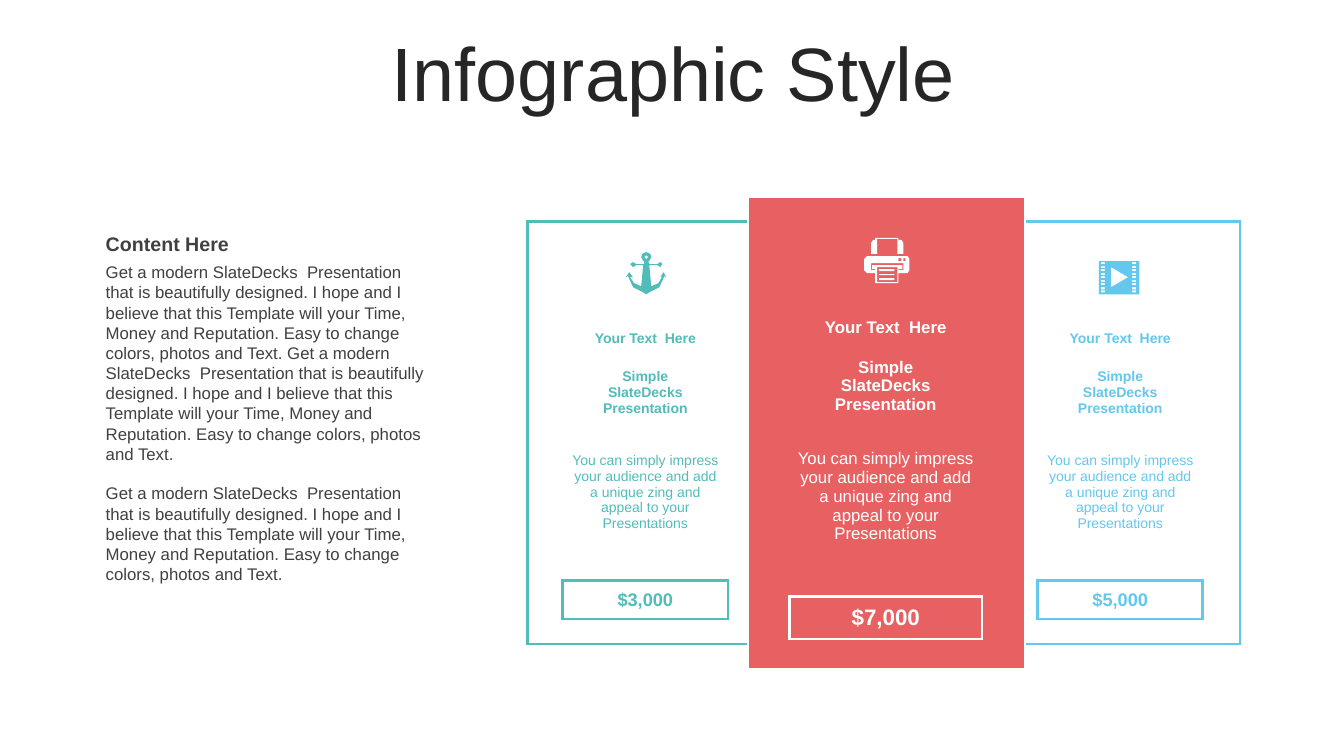
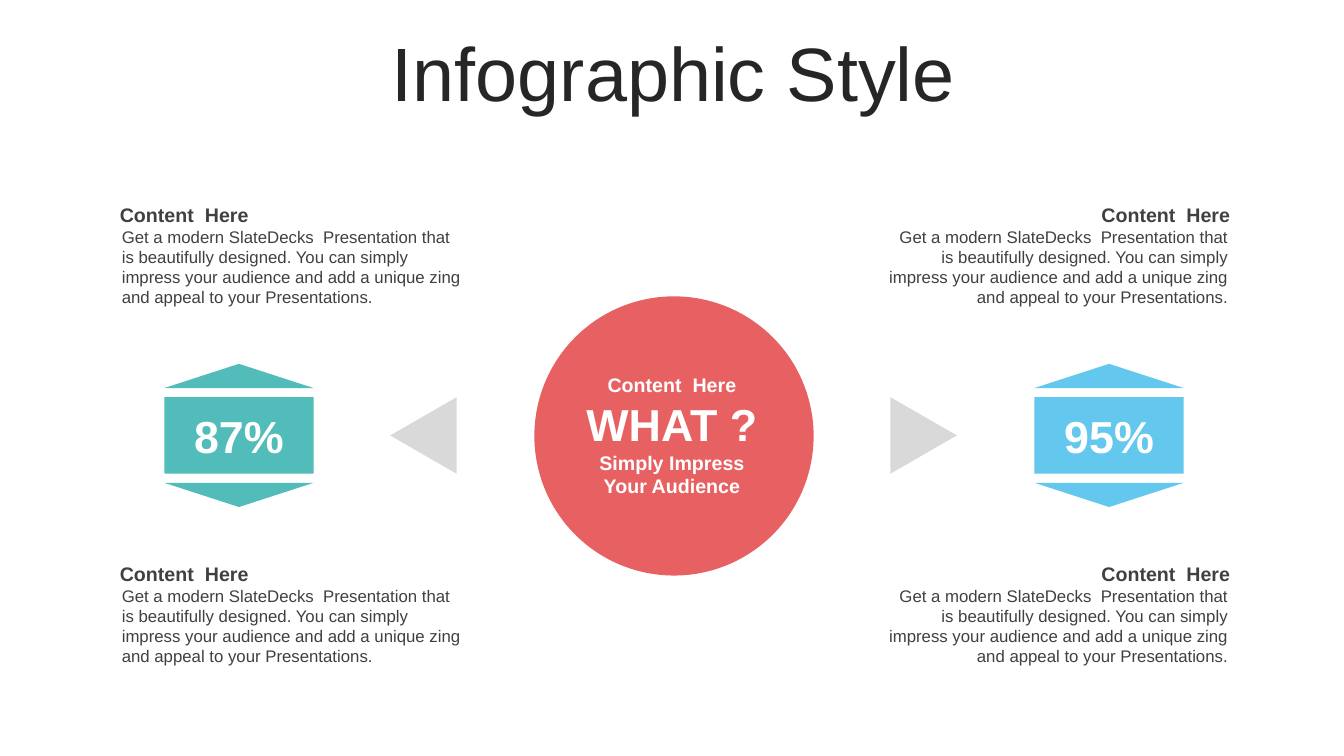
from lxml.etree import SubElement
from pptx import Presentation
from pptx.dml.color import RGBColor
from pptx.enum.shapes import MSO_SHAPE
from pptx.enum.text import MSO_ANCHOR, MSO_AUTO_SIZE, PP_ALIGN
from pptx.oxml.ns import qn
from pptx.util import Pt

PX = 9144  # 100 px to the inch
FONT = "Arial"
BLACK = RGBColor(0x26, 0x26, 0x26)
GRAY = RGBColor(0x40, 0x40, 0x40)
PALE = RGBColor(0xD9, 0xD9, 0xD9)
WHITE = RGBColor(0xFF, 0xFF, 0xFF)
TEAL = RGBColor(0x51, 0xBC, 0xB9)
BLUE = RGBColor(0x63, 0xC7, 0xEE)
RED = RGBColor(0xE8, 0x61, 0x62)
LEFT, MID, RIGHT = PP_ALIGN.LEFT, PP_ALIGN.CENTER, PP_ALIGN.RIGHT


def write(frame, text, size=12, ink=GRAY, bold=False, align=LEFT,
          anchor=MSO_ANCHOR.TOP, gap=0):
    """Fill a text frame, one paragraph a line, with gap points between."""
    frame.word_wrap = True
    frame.vertical_anchor = anchor
    for i, line in enumerate(text.split("\n")):
        para = frame.add_paragraph() if i else frame.paragraphs[0]
        para.alignment = align
        para.space_before = Pt(gap if i else 0)
        run = para.add_run()
        run.text = line
        run.font.name = FONT
        run.font.size = Pt(size)
        run.font.bold = bold
        run.font.color.rgb = ink


def add(slide, at, kind=None, fill=None, turn=0):
    """Add a filled shape, or a text box when no kind is given."""
    spot = [n * PX for n in at]
    if kind is None:
        return slide.shapes.add_textbox(*spot)
    shape = slide.shapes.add_shape(kind, *spot)
    shape.shadow.inherit = False
    shape.fill.solid()
    shape.fill.fore_color.rgb = fill
    shape.line.fill.background()
    shape.rotation = turn
    return shape


deck = Presentation()
deck.slide_width, deck.slide_height = 1333 * PX, 750 * PX
slides = []
for _ in range(2):
    slide = deck.slides.add_slide(deck.slide_layouts[5])
    title = slide.shapes.title
    title.left, title.top, title.width, title.height = [
        n * PX for n in (35, 37, 1266, 79)]
    write(title.text_frame, "Infographic Style", size=54, ink=BLACK,
          align=MID, anchor=MSO_ANCHOR.MIDDLE)
    title.text_frame.auto_size = MSO_AUTO_SIZE.NONE
    title.text_frame.paragraphs[0].line_spacing = 0.9
    slides.append(slide)
plans, what = slides

# Price cards: the wide red one overlaps its two neighbours
SMALL = (35, 164, 37), (100, 33, 73, 125, 25, 38, 25)
LARGE = (41, 191, 43), (111, 36, 80, 139, 30, 42, 30)
OFFER = {
    1: "Your Text  Here",
    2: "Simple\nSlateDecks Presentation",
    3: "You can simply impress your audience and add a unique zing "
       "and appeal to your Presentations",
}
PRICE = 5  # row of the framed price

for left, top, (cols, rows), ink, fill, rim, size, big, price in (
        (994, 220, SMALL, BLUE, WHITE, 2.25, 10, 13, "$5,000"),
        (523, 220, SMALL, TEAL, WHITE, 2.25, 10, 13, "$3,000"),
        (742, 196, LARGE, WHITE, RED, 1.5, 12, 16, "$7,000")):
    table = plans.shapes.add_table(
        len(rows), len(cols), left * PX, top * PX,
        sum(cols) * PX, sum(rows) * PX).table
    table.first_row = table.horz_banding = False
    for col, wide in zip(table.columns, cols):
        col.width = wide * PX
    for r, high in enumerate(rows):
        table.rows[r].height = high * PX
        for c in range(len(cols)):
            cell = table.cell(r, c)
            cell.margin_left = cell.margin_right = 8 * PX
            cell.margin_top = cell.margin_bottom = 4 * PX
            tcpr = cell._tc.get_or_add_tcPr()
            for tag, edge, last, frame in (
                    ("a:lnL", c, 3, r == PRICE and (1, 2)),
                    ("a:lnR", c + 1, 3, r == PRICE and (1, 2)),
                    ("a:lnT", r, 7, c == 1 and (PRICE, PRICE + 1)),
                    ("a:lnB", r + 1, 7, c == 1 and (PRICE, PRICE + 1))):
                if edge in (0, last):
                    thick = rim
                else:
                    thick = 2.25 if frame and edge in frame else 0
                line = SubElement(tcpr, qn(tag), w=str(Pt(thick)))
                if thick:
                    paint = SubElement(line, qn("a:solidFill"))
                    SubElement(paint, qn("a:srgbClr"), val=str(ink))
                else:
                    SubElement(line, qn("a:noFill"))
            cell.fill.solid()
            cell.fill.fore_color.rgb = fill
            text = price if r == PRICE else OFFER.get(r)
            if c == 1 and text:
                write(cell.text_frame, text, ink=ink, bold=r != 3,
                      size=big if r == PRICE else size, align=MID)
                cell.vertical_anchor = MSO_ANCHOR.MIDDLE
            else:
                para = cell.text_frame.paragraphs[0]
                SubElement(para._p, qn("a:endParaRPr"), sz="600")

# Icons: rectangles (left, top, right, bottom) and outlines, holes included
film = [(1090, 259, 1130, 292)] + [
    (x, y, x + 4, y + 2)
    for x in (1092, 1123) for y in [260 + (7 * i + 1) // 2 for i in range(9)]]
play = [[(1102, 265), (1102, 285), (1119, 275)]]
anchor = [
    [(641, 253), (639, 255), (641, 257), (643, 255)],
    [(641, 250), (645, 252), (646, 255), (644, 259), (643, 259), (644, 262),
     (652, 262), (655, 260), (657, 262), (655, 265), (652, 263), (644, 263),
     (646, 284), (653, 281), (657, 274), (655, 275), (658, 270), (661, 275),
     (659, 274), (654, 285), (644, 290), (641, 292), (638, 290), (628, 285),
     (623, 274), (621, 275), (624, 270), (628, 275), (625, 275), (629, 281),
     (636, 284), (638, 263), (631, 263), (628, 265), (625, 262), (628, 260),
     (631, 262), (639, 262), (639, 259), (638, 259), (636, 255), (637, 252)],
]
paper = [(872, 267, 887, 269), (872, 272, 887, 273), (872, 276, 887, 278),
         (870, 265, 890, 280), (896, 256, 898, 259), (891, 256, 894, 259)]
printer = [
    [(864, 261), (864, 268), (868, 268), (868, 267), (865, 267), (865, 263),
     (895, 263), (895, 267), (891, 267), (891, 268), (896, 268), (896, 261)],
    [(860, 254), (900, 254), (902, 257), (902, 268), (900, 271), (891, 271),
     (891, 281), (868, 281), (868, 271), (860, 271), (857, 268), (857, 257)],
    [(868, 236), (891, 236), (891, 238), (894, 238), (896, 241), (896, 252),
     (890, 252), (890, 237), (870, 237), (870, 252), (864, 252), (864, 241),
     (866, 238), (868, 238)],
]
for rects, loops, fill in ((film, play, BLUE), ([], anchor, TEAL),
                           (paper, printer, WHITE)):
    loops = loops + [[(a, b), (c, b), (c, d), (a, d)] for a, b, c, d in rects]
    pen = plans.shapes.build_freeform(*loops[0][0], scale=PX)
    for i, loop in enumerate(loops):
        if i:
            pen.move_to(*loop[0])
        pen.add_line_segments(loop[1:], close=True)
    icon = pen.convert_to_shape()
    icon.shadow.inherit = False
    icon.fill.solid()
    icon.fill.fore_color.rgb = fill
    icon.line.fill.background()

PITCH = ("Get a modern SlateDecks  Presentation that is beautifully designed. "
         "I hope and I believe that this Template will your Time, Money and "
         "Reputation. Easy to change colors, photos and Text.")
write(add(plans, (95, 255, 341, 333)).text_frame,
      f"{PITCH} {PITCH}\n{PITCH}", gap=14)
write(add(plans, (95, 225, 341, 34)).text_frame, "Content Here",
      size=14, bold=True)

# Hub with a pointer, a badge and two notes on each side
NOTE = ("Get a modern SlateDecks  Presentation that is beautifully designed. "
        "You can simply impress your audience and add a unique zing and "
        "appeal to your Presentations.")
add(what, (530, 294, 277, 277), MSO_SHAPE.OVAL, RED)
for top, high, size, text in (
        (388, 64, 32, "WHAT ?"),
        (365, 34, 14, "Content  Here"),
        (442, 57, 14, "Simply Impress\nYour Audience")):
    write(add(what, (546, top, 241, high)).text_frame, text, size=size,
          ink=WHITE, bold=True, align=MID, anchor=MSO_ANCHOR.MIDDLE)

for head, body, align, tip, turn, badge, fill, share in (
        ((109, 362), (111, 360), LEFT, 382, 270, 163, TEAL, "87%"),
        ((872, 358), (872, 356), RIGHT, 878, 90, 1026, BLUE, "95%")):
    add(what, (tip, 399, 76, 66), MSO_SHAPE.ISOSCELES_TRIANGLE, PALE, turn)
    for top, flip in ((361, 0), (479, 180)):
        add(what, (badge, top, 148, 24), MSO_SHAPE.ISOSCELES_TRIANGLE,
            fill, flip)
    plate = add(what, (badge, 394, 148, 76), MSO_SHAPE.RECTANGLE, fill)
    write(plate.text_frame, share, size=32, ink=WHITE, bold=True,
          align=MID, anchor=MSO_ANCHOR.MIDDLE)
    for top in (196, 552):
        write(add(what, (head[0], top, head[1], 34)).text_frame,
              "Content  Here", size=14, bold=True, align=align,
              anchor=MSO_ANCHOR.MIDDLE)
        write(add(what, (body[0], top + 24, body[1], 91)).text_frame,
              NOTE, align=align)

deck.save("out.pptx")
